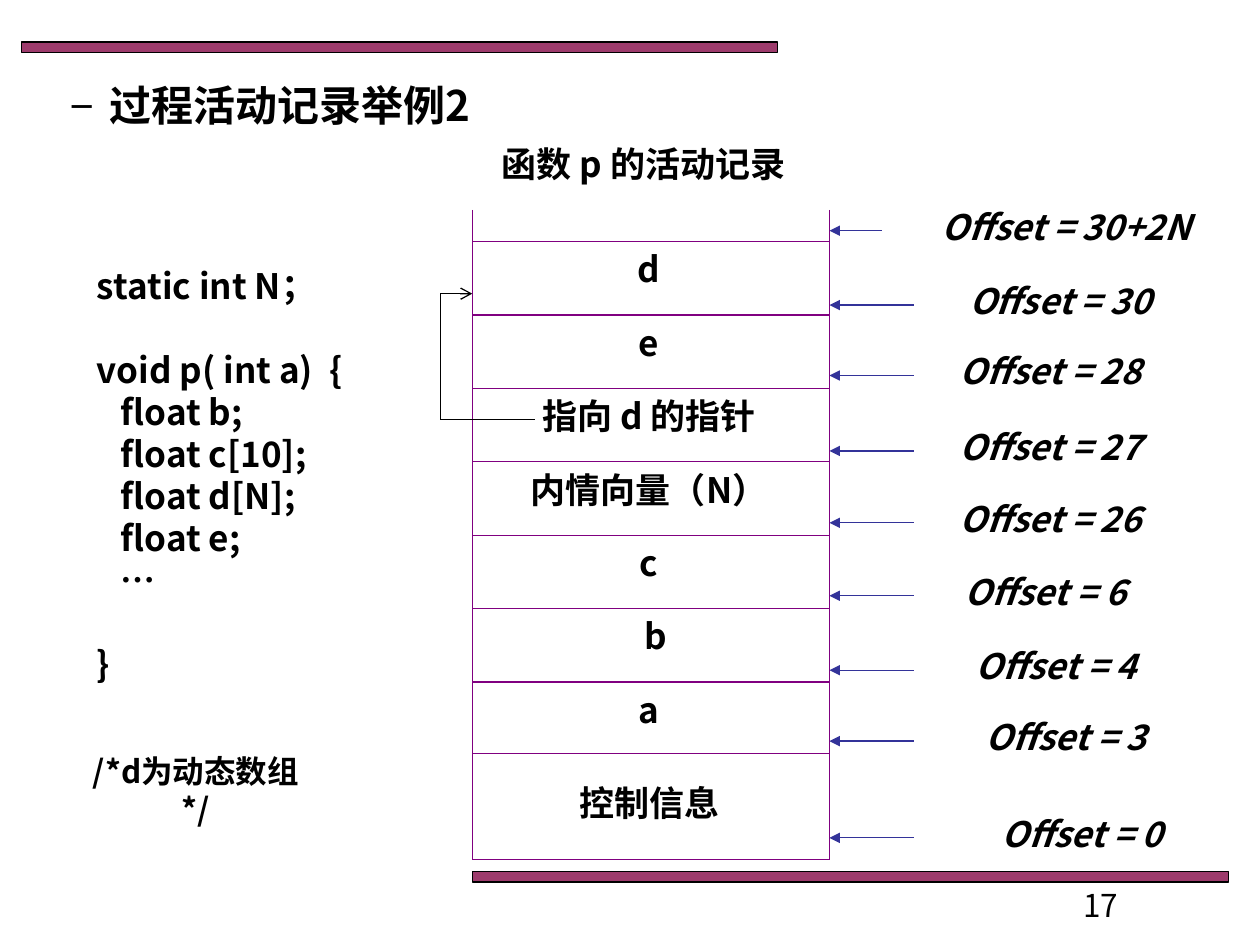
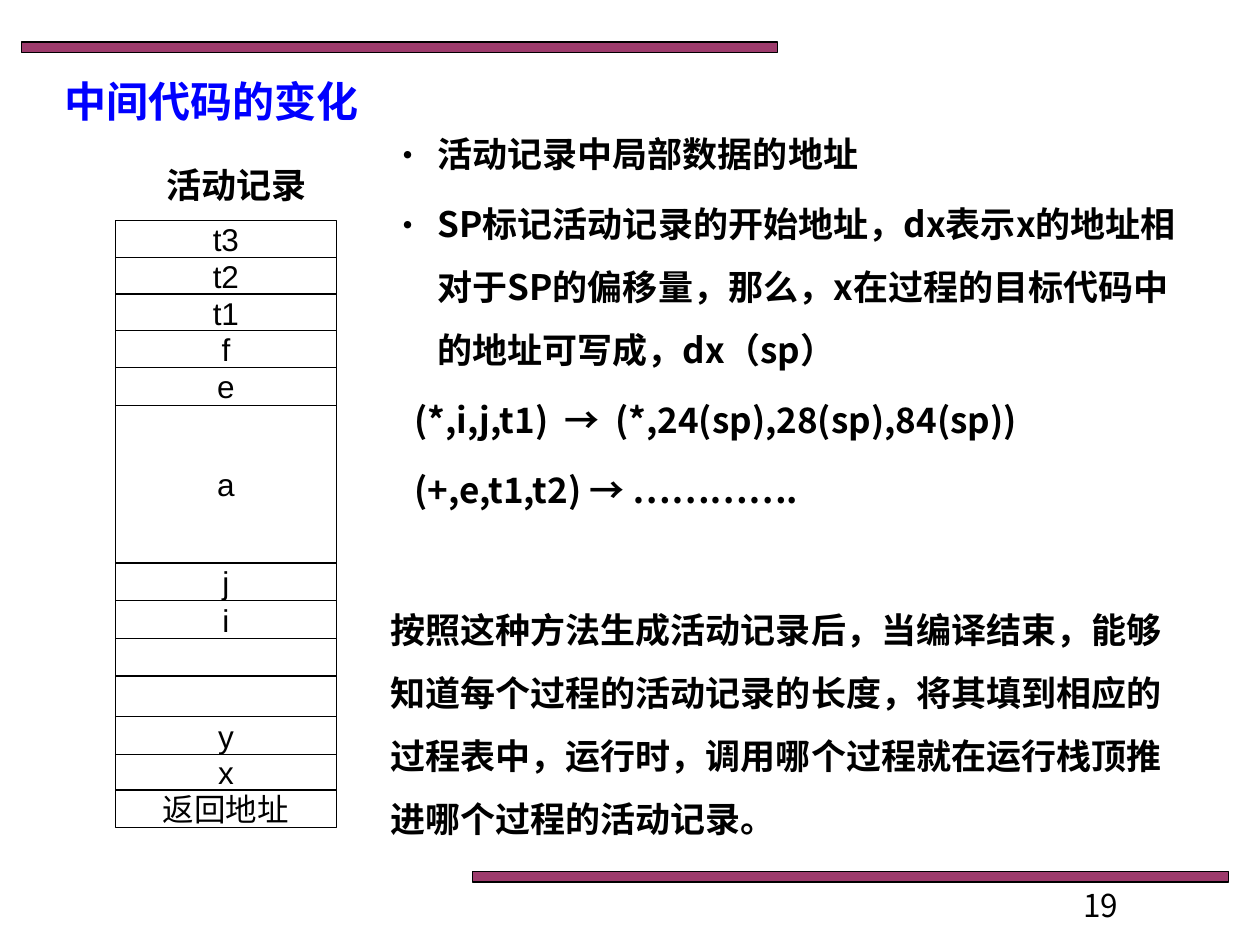
import pptx
import pptx.dml.color
import pptx.enum.shapes
import pptx.enum.text
import pptx.oxml.ns
import pptx.util
from lxml import etree

Cm, Pt = pptx.util.Cm, pptx.util.Pt
RECTANGLE = pptx.enum.shapes.MSO_SHAPE.RECTANGLE
STRAIGHT = pptx.enum.shapes.MSO_CONNECTOR.STRAIGHT
CENTER = pptx.enum.text.PP_ALIGN.CENTER
MIDDLE = pptx.enum.text.MSO_ANCHOR.MIDDLE

CJK_FONT = "Noto Sans CJK SC"
BLACK, BLUE, PLUM, PURPLE, INDIGO = "000000", "0000FF", "993366", "800080", "333399"
BAR_WIDTH, BAR_HEIGHT = 15.24, 0.21


def color(hex_string):
    return pptx.dml.color.RGBColor.from_string(hex_string)


def add_xml(parent, tag, **attributes):
    return etree.SubElement(parent, pptx.oxml.ns.qn(tag), attributes)


def style(paragraph, size=20, bold=True, italic=False, font=CJK_FONT, ink=BLACK):
    for run in paragraph.runs:
        run.font.size, run.font.bold, run.font.italic = Pt(size), bold, italic
        run.font.name = font
        run.font.color.rgb = color(ink)
        add_xml(run.font._element, "a:ea", typeface=CJK_FONT)


def indent(paragraph, left, bullet=None, hanging=0):
    properties = paragraph._p.get_or_add_pPr()
    properties.set("marL", str(Cm(left)))
    properties.set("indent", str(-Cm(hanging)))
    if bullet:
        add_xml(properties, "a:buFont", typeface=CJK_FONT)
        add_xml(properties, "a:buChar", char=bullet)


def add_text(slide, left, top, width, height, text, align=None, **look):
    frame = slide.shapes.add_textbox(Cm(left), Cm(top), Cm(width), Cm(height)).text_frame
    frame.word_wrap = True
    frame.text = text
    for paragraph in frame.paragraphs:
        paragraph.alignment = align
        style(paragraph, **look)
    return frame


def add_rectangle(slide, left, top, width, height):
    rectangle = slide.shapes.add_shape(RECTANGLE, Cm(left), Cm(top), Cm(width), Cm(height))
    rectangle.shadow.inherit = False
    rectangle.fill.background()
    rectangle.line.color.rgb = color(BLACK)
    rectangle.line.width = Pt(0.75)
    return rectangle


def add_line(slide, x1, y1, x2, y2, ink, head=None):
    line = slide.shapes.add_connector(STRAIGHT, Cm(x1), Cm(y1), Cm(x2), Cm(y2))
    line.line.color.rgb = color(ink)
    line.line.width = Pt(0.75)
    if head:
        add_xml(line.line._get_or_add_ln(), "a:tailEnd", type=head)
    add_xml(line._element.spPr, "a:effectLst")


def add_framed_slide(deck, number):
    """Blank slide with the two bars and its page number."""
    slide = deck.slides.add_slide(deck.slide_layouts[6])
    for left, top in ((0.43, 0.85), (9.53, 17.57)):
        bar = add_rectangle(slide, left, top, BAR_WIDTH, BAR_HEIGHT)
        bar.fill.solid()
        bar.fill.fore_color.rgb = color(PLUM)
        tint = bar._element.spPr.find(".//" + pptx.oxml.ns.qn("a:srgbClr"))
        add_xml(tint, "a:alpha", val="96000")
    add_text(slide, 21.59, 17.73, 3.3, 0.46, str(number), size=18, bold=False)
    return slide


def add_source_code(slide, left, top, width, height):
    lines = [  # text, indented, blank lines before
        ("static int N；", False, 0),
        ("void p( int a)  {", False, 1),
        ("float b;", True, 0),
        ("float c[10];", True, 0),
        ("float d[N];", True, 0),
        ("float e;", True, 0),
        ("…", True, 0),
        ("}", False, 1),
    ]
    code = add_text(slide, left, top, width, height, "\n".join(line[0] for line in lines))
    for paragraph, (_, inner, gap) in zip(code.paragraphs, lines):
        indent(paragraph, 0.48 if inner else 0)
        paragraph.space_before = Pt(24 * gap)


def add_stack_record(slide, left, top, width, height):
    """Activation record of p, open at the top."""
    right, bottom = left + width, top + height
    first_row, row_height, control_top = 0.64, 1.48, 10.96
    fields = ["d", "e", "指向 d 的指针", "内情向量（N）", "c", "b", "a"]
    for x in (left, right):
        add_line(slide, x, top, x, bottom, PURPLE)
    for row, field in enumerate(fields):
        y = top + first_row + row * row_height
        nudge = 0.13 if field == "b" else 0
        add_line(slide, left, y, right, y, PURPLE)
        add_text(slide, left + 0.15 + nudge, y, 6.83, 1.12, field, CENTER)
    for y in (top + control_top, bottom):
        add_line(slide, left, y, right, y, PURPLE)
    add_text(slide, left, top + 11.39, width - 0.06, 1.12, "控制信息", CENTER)

    pointer_x, pointer_y, target_y = left - 0.64, top + 4.23, top + 1.69
    add_line(slide, pointer_x, pointer_y, left + 1.27, pointer_y, BLACK)
    add_line(slide, pointer_x, target_y, pointer_x, pointer_y, BLACK)
    add_line(slide, pointer_x, target_y, left, target_y, BLACK, "arrow")


def add_offsets(slide, left, top):
    """Offset labels with arrows that point at the record's right edge."""
    label_width = 6.5
    offsets = [  # value, arrow height, label centre, arrow length
        ("30+2N", 0.42, 4.77, 1.06),
        ("30", 1.92, 4.65, 1.7),
        ("28", 3.34, 4.45, 1.7),
        ("27", 4.86, 4.45, 1.7),
        ("26", 6.31, 4.45, 1.7),
        ("6", 7.78, 4.35, 1.7),
        ("4", 9.28, 4.57, 1.7),
        ("3", 10.71, 4.77, 1.7),
        ("0", 12.66, 5.09, 1.7),
    ]
    for value, y, center, length in offsets:
        add_line(slide, left + length, top + y, left, top + y, INDIGO, "triangle")
        add_text(slide, left + center - label_width / 2, top + y - 0.64, label_width, 1.12,
                 f"Offset = {value}", CENTER, italic=True)


def add_local_record(slide, left, top, width):
    """Closed column of cells, from the temporaries down to the return address."""
    cells = [
        ("t3", 0.74), ("t2", 0.74), ("t1", 0.74), ("f", 0.74), ("e", 0.76),
        ("a", 3.18), ("j", 0.76), ("i", 0.76), ("", 0.76), ("", 0.82),
        ("y", 0.76), ("x", 0.72), ("返回地址", 0.76),
    ]
    add_text(slide, left, top - 1.27, 4.88, 1.12, "活动记录", CENTER)
    for label, height in cells:
        cell = add_rectangle(slide, left, top, width, height)
        top += height
        if label:
            frame = cell.text_frame
            frame.text = label
            frame.word_wrap = False
            frame.vertical_anchor = MIDDLE
            frame.paragraphs[0].alignment = CENTER
            style(frame.paragraphs[0], size=18, bold=False, font="Arial")


def add_explanation(slide, left, top, width, height):
    points = [  # text, left indent, bullet, space before
        ("活动记录中局部数据的地址", 0.95, "•", 4),
        ("SP标记活动记录的开始地址，dx表示x的地址相对于SP的偏移量，那么，"
         "x在过程的目标代码中的地址可写成，dx（sp）", 0.95, "•", 4),
        ("(*,i,j,t1)  →  (*,24(sp),28(sp),84(sp))", 0.48, None, 4),
        ("(+,e,t1,t2) → ………….", 0.48, None, 4),
        ("按照这种方法生成活动记录后，当编译结束，能够知道每个过程的活动记录的长度，"
         "将其填到相应的过程表中，运行时，调用哪个过程就在运行栈顶推进哪个过程的活动记录。",
         0, None, 44),
    ]
    body = add_text(slide, left, top, width, height, "\n".join(point[0] for point in points))
    for paragraph, (_, margin, bullet, gap) in zip(body.paragraphs, points):
        paragraph.line_spacing = 1.5
        paragraph.space_before = Pt(gap)
        indent(paragraph, margin, bullet, margin if bullet else 0)


def build_record_example(deck):
    slide = add_framed_slide(deck, 17)
    title = add_text(slide, 1.17, 1.47, 16.81, 1.27, "过程活动记录举例2", size=24)
    indent(title.paragraphs[0], 0.79, "−", 0.79)
    add_text(slide, 9.41, 2.74, 7.14, 1.12, "函数 p 的活动记录", CENTER)
    add_source_code(slide, 1.7, 5.21, 6.35, 9.65)
    add_text(slide, 1.41, 15.04, 5.08, 1.02, "/*d为动态数组*/", CENTER, size=18)
    add_stack_record(slide, 9.52, 4.23, 7.2, 13.1)
    add_offsets(slide, 16.72, 4.23)


def build_code_changes(deck):
    slide = add_framed_slide(deck, 19)
    add_text(slide, 1.06, 1.4, 13.34, 0.51, "中间代码的变化",
             size=24, font="Times New Roman", ink=BLUE)
    add_local_record(slide, 2.33, 4.45, 4.45)
    add_explanation(slide, 7.62, 2.12, 16.71, 15.04)


def main():
    deck = pptx.Presentation()
    deck.slide_width, deck.slide_height = Cm(25.4), Cm(19.05)
    build_record_example(deck)
    build_code_changes(deck)
    deck.save("out.pptx")


if __name__ == "__main__":
    main()
